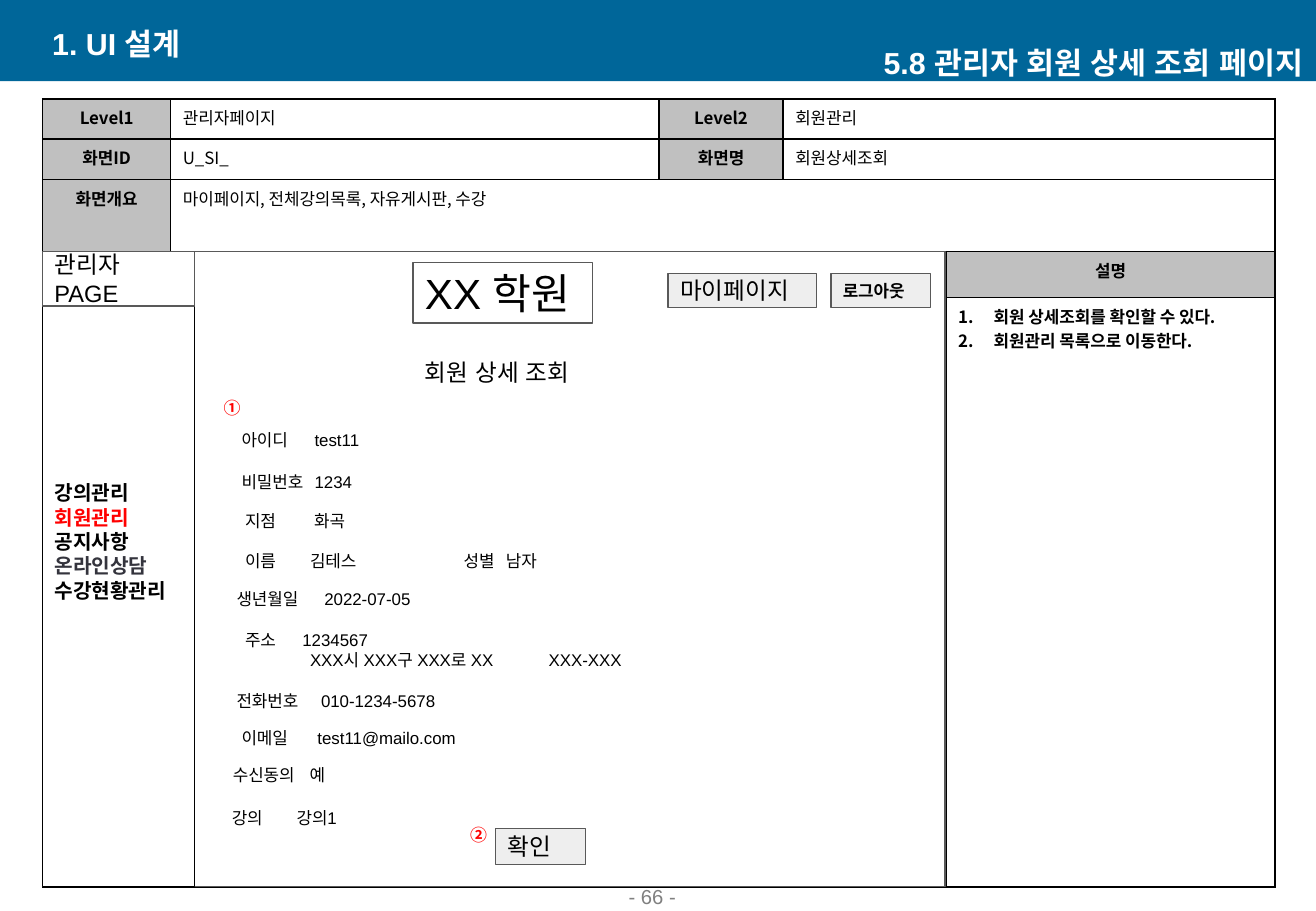
from dataclasses import dataclass

from lxml import etree
from pptx import Presentation
from pptx.dml.color import RGBColor
from pptx.enum import shapes, text
from pptx.oxml import ns
from pptx.util import Pt

LEFT, CENTER, RIGHT = text.PP_ALIGN.LEFT, text.PP_ALIGN.CENTER, text.PP_ALIGN.RIGHT
TOP, MIDDLE, BOTTOM = (text.MSO_ANCHOR.TOP, text.MSO_ANCHOR.MIDDLE,
                       text.MSO_ANCHOR.BOTTOM)
WIDTH, HEIGHT = 780, 540


@dataclass(frozen=True)
class Theme:
    sans: str = "Arial"
    noto: str = "Noto Sans CJK KR"
    band: str = "006699"
    white: str = "FFFFFF"
    black: str = "000000"
    head: str = "C0C0C0"
    button: str = "EEEEEE"
    edge: str = "595959"
    muted: str = "808080"
    slate: str = "34343D"
    red: str = "FF0000"
    small: float = 10
    menu: float = 12
    large: float = 14
    title: float = 18
    logo: float = 25


def add(parent, tag, **attrs):
    return etree.SubElement(parent, ns.qn(tag), attrs)


def rgb(code):
    return RGBColor.from_string(code)


class Page:
    def __init__(self, slide, theme):
        self.slide, self.theme = slide, theme

    def run(self, para, words, size=None, color=None, bold=False, font=None):
        run = para.add_run()
        run.text = words
        face = run.font
        face.size = Pt(size or self.theme.small)
        face.bold = bold
        face.name = font or self.theme.sans
        face.color.rgb = rgb(color or self.theme.black)
        add(face._element, "a:ea", typeface=face.name)

    def frame(self, frame, anchor=TOP, pad=7.2, base=None):
        frame.word_wrap = True
        frame.vertical_anchor = anchor
        frame.margin_left = frame.margin_right = Pt(7.2)
        frame.margin_top = Pt(pad)
        frame.margin_bottom = Pt(pad if base is None else base)
        return frame.paragraphs[0]

    def tabs(self, para, stop):
        """Set one left tab stop, in points."""
        stops = add(para._p.get_or_add_pPr(), "a:tabLst")
        add(stops, "a:tab", pos=str(Pt(stop)), algn="l")

    def rect(self, x, y, w, h, fill, line=None):
        box = self.slide.shapes.add_shape(
            shapes.MSO_SHAPE.RECTANGLE, Pt(x), Pt(y), Pt(w), Pt(h))
        box.shadow.inherit = False
        box.fill.solid()
        box.fill.fore_color.rgb = rgb(fill)
        if line:
            box.line.color.rgb = rgb(line)
            box.line.width = Pt(0.75)
        else:
            box.line.fill.background()
        return box

    def panel(self, x, y, w, h, words, fill, size=None, bold=False):
        box = self.rect(x, y, w, h, fill, self.theme.edge)
        para = self.frame(box.text_frame, MIDDLE)
        para.alignment = LEFT
        self.run(para, words, size or self.theme.large, bold=bold)

    def label(self, x, y, w, h, words, align=LEFT, anchor=TOP, pad=7.2, **look):
        box = self.slide.shapes.add_textbox(Pt(x), Pt(y), Pt(w), Pt(h))
        para = self.frame(box.text_frame, anchor, pad)
        para.alignment = align
        self.run(para, words, **look)
        return box.text_frame

    def field(self, x, y, w, stop, name, value):
        frame = self.label(x, y, w, 26.6, name + "\t" + value)
        self.tabs(frame.paragraphs[0], stop)
        return frame

    def title(self, x, y, w, h, words):
        box = self.slide.shapes.title
        box.left, box.top, box.width, box.height = Pt(x), Pt(y), Pt(w), Pt(h)
        para = self.frame(box.text_frame, MIDDLE, 3.6)
        para.alignment = RIGHT
        self.run(para, words, self.theme.title, self.theme.white, True)

    def menu(self, x, y, w, h, items):
        box = self.rect(x, y, w, h, self.theme.white, self.theme.black)
        para = self.frame(box.text_frame, MIDDLE, base=40)
        for spot, (words, color) in enumerate(items):
            para = box.text_frame.add_paragraph() if spot else para
            para.alignment = LEFT
            self.run(para, words, self.theme.menu, color, True)

    def table(self, x, y, cols, rows):
        shape = self.slide.shapes.add_table(
            len(rows), len(cols), Pt(x), Pt(y), Pt(sum(cols)), Pt(sum(rows)))
        grid = shape.table
        grid.first_row = grid.horz_banding = False
        for col, size in zip(grid.columns, cols):
            col.width = Pt(size)
        for row, size in zip(grid.rows, rows):
            row.height = Pt(size)
        for cell in grid.iter_cells():
            props = cell._tc.get_or_add_tcPr()
            for side in ("a:lnL", "a:lnR", "a:lnT", "a:lnB"):
                line = add(props, side, w=str(Pt(1)))
                add(add(line, "a:solidFill"), "a:srgbClr", val=self.theme.black)
            cell.fill.background()
        return grid

    def cell(self, cell, words, head=False, anchor=TOP):
        para = self.frame(cell.text_frame, anchor, 3.6)
        if head:
            para.alignment = CENTER
            cell.fill.solid()
            cell.fill.fore_color.rgb = rgb(self.theme.head)
        self.run(para, words, bold=head, font=self.theme.noto)

    def steps(self, cell, items):
        """Fill a cell with a numbered list."""
        para = self.frame(cell.text_frame, TOP, 3.6)
        for spot, words in enumerate(items):
            para = cell.text_frame.add_paragraph() if spot else para
            props = para._p.get_or_add_pPr()
            props.set("marL", str(Pt(21)))
            props.set("indent", str(Pt(-21)))
            add(props, "a:buFont", typeface="+mj-lt")
            add(props, "a:buAutoNum", type="arabicPeriod")
            self.run(para, words, bold=True, font=self.theme.noto)


def header(page):
    theme = page.theme
    band = page.rect(0, 0, WIDTH, 48.2, theme.band)
    page.slide.shapes.title.element.addprevious(band.element)
    page.label(23.8, 13.7, 315, 23.8, "1. UI 설계", anchor=MIDDLE, pad=3.6,
               size=theme.title, color=theme.white, bold=True)
    page.title(464.6, 25.2, 315, 23.8, "5.8 관리자 회원 상세 조회 페이지")
    page.label(305.3, 525.6, 162.7, 16.6, "- 66 -", CENTER, BOTTOM, 3.6,
               size=theme.menu, color=theme.muted)


def outline(page):
    grid = page.table(25.2, 58.8, [76, 289.4, 73.6, 96.6, 195],
                      [23.6, 24.1, 42.7, 27.3, 349.2])
    for first, last in (((0, 3), (0, 4)), ((1, 3), (1, 4)),
                        ((2, 1), (2, 4)), ((3, 0), (4, 3))):
        grid.cell(*first).merge(grid.cell(*last))
    heads = {(0, 0): "Level1", (0, 2): "Level2", (1, 0): "화면ID", (1, 2): "화면명",
             (2, 0): "화면개요", (3, 4): "설명"}
    for spot, words in heads.items():
        page.cell(grid.cell(*spot), words, True, MIDDLE if spot[0] < 2 else TOP)
    values = {(0, 1): "관리자페이지", (0, 3): "회원관리", (1, 1): "U_SI_",
              (1, 3): "회원상세조회", (2, 1): "마이페이지, 전체강의목록, 자유게시판, 수강"}
    for spot, words in values.items():
        page.cell(grid.cell(*spot), words)
    page.steps(grid.cell(4, 4), ["회원 상세조회를 확인할 수 있다.", "회원관리 목록으로 이동한다."])


def screen(page):
    theme = page.theme
    page.rect(25.2, 149, 535, 376.6, theme.white, theme.edge)
    page.menu(25.2, 149, 90, 376.6, [
        ("강의관리", theme.black), ("회원관리", theme.red), ("공지사항", theme.black),
        ("온라인상담", theme.slate), ("수강현황관리", theme.black)])
    page.panel(25.2, 149, 90, 32.4, "관리자 PAGE", theme.white)
    page.panel(244.8, 155.5, 106.6, 36, "XX 학원", theme.white, theme.logo)
    page.panel(396, 162, 87.8, 20.2, "마이페이지", theme.button)
    page.panel(492.5, 162, 59, 20.2, "로그아웃", theme.button, theme.small, True)
    page.panel(293.8, 491, 53.3, 21.6, "확인", theme.button)
    page.label(244.8, 205.2, 115.2, 31.7, "회원 상세 조회", size=theme.large)
    for x, y, pad, mark in ((125.3, 229.7, 7.2, "①"), (271.4, 485.3, 3.6, "②")):
        page.label(x, y, 24.5, 20, mark, CENTER, pad=pad, color=theme.red,
                   bold=True, font=theme.noto)


def fields(page):
    for row in (
            (136.1, 248.4, 166, 43.3, "아이디", "test11"),
            (136.1, 273.6, 110, 43.3, "비밀번호", "1234"),
            (138.2, 296.6, 186, 41, "지점", "화곡"),
            (138.2, 320.4, 115, 38.5, "이름", "김테스"),
            (267.8, 320.4, 158, 25, "성별", "남자"),
            (133.2, 342.7, 158, 52, "생년월일", "2022-07-05"),
            (133.2, 403.2, 158, 50, "전화번호", "010-1234-5678"),
            (136.1, 425.5, 172, 45, "이메일", "test11@mailo.com"),
            (131, 447.1, 166, 45.5, "수신동의", "예"),
            (130.3, 473, 153, 38.5, "강의", "강의1")):
        page.field(*row)
    home = page.field(138.2, 365.8, 266.4, 34, "주소", "1234567")
    street = home.add_paragraph()
    street._p.get_or_add_pPr().set("indent", str(Pt(38.5)))
    page.tabs(street, 168.7)
    page.run(street, "XXX시 XXX구 XXX로 XX\tXXX-XXX")


def main():
    deck = Presentation()
    deck.slide_width, deck.slide_height = Pt(WIDTH), Pt(HEIGHT)
    page = Page(deck.slides.add_slide(deck.slide_layouts[5]), Theme())
    for part in (header, outline, screen, fields):
        part(page)
    deck.save("out.pptx")


if __name__ == "__main__":
    main()
